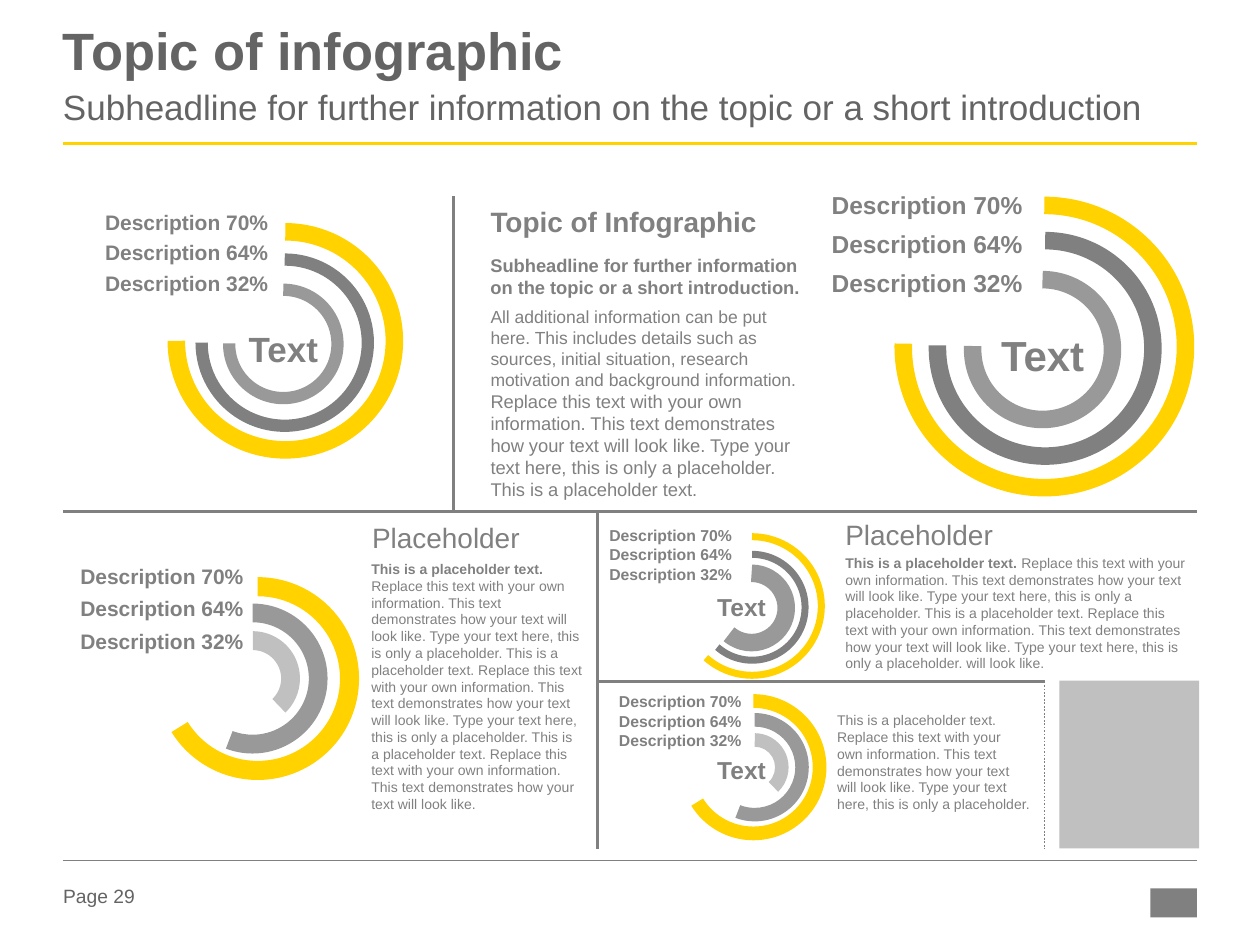
from lxml.etree import SubElement
from pptx import Presentation
from pptx.dml.color import RGBColor
from pptx.enum.dml import MSO_LINE
from pptx.enum.shapes import MSO_CONNECTOR, MSO_SHAPE
from pptx.enum.text import MSO_ANCHOR, MSO_AUTO_SIZE, PP_ALIGN
from pptx.oxml.ns import qn
from pptx.util import Pt

GOLD, DARK, GREY, MID, PALE = "FFD200", "646464", "808080", "999999", "C0C0C0"
LEFT, MIDDLE = PP_ALIGN.LEFT, PP_ALIGN.CENTER
FLUSH, PADDED = (0, 0, 0, 0), (5.6, 5.8, 8.4, 5.8)

LEAD = "This is a placeholder text. "
OWN = "Replace this text with your own information. "
DEMO = "This text demonstrates how your text will look like. "
TYPE = "Type your text here, this is only a placeholder. "
FILL = OWN + DEMO + TYPE
INTRO = ("All additional information can be put here. This includes details such as "
         "sources, initial situation, research motivation and background information. ")

# box, runs of (text, size, bold), colour, align, inset
TEXTS = [
    ((36, 505.4, 56.9, 15.8), [("Page 29", 11, False)], DARK, LEFT, FLUSH),
    ((280.3, 116.9, 176.4, 19.4), [("Topic of Infographic", 16, True)], GREY, LEFT, FLUSH),
    ((280.3, 145.4, 185, 25.2),
     [("Subheadline for further information \von the topic or a short introduction.", 10.5, True)],
     GREY, LEFT, FLUSH),
    ((280.3, 175, 176.4, 112.3),
     [(INTRO, 10, False), (FILL + LEAD.strip(), 10.5, False)], GREY, LEFT, FLUSH),
    ((210.2, 297.4, 89.3, 19.4), [("Placeholder", 16, False)], GREY, MIDDLE, FLUSH),
    ((206.6, 314.6, 135.4, 151.2),
     [(LEAD, 8, True), ((FILL + LEAD) * 2 + OWN + DEMO.strip(), 8, False)], GREY, LEFT, PADDED),
    ((483.1, 295.9, 185, 19.4), [("Placeholder", 16, False)], GREY, LEFT, FLUSH),
    ((483.1, 316.8, 197.3, 67.7),
     [(LEAD, 8, True), (FILL + LEAD + FILL + "will look like.", 8, False)], GREY, LEFT, FLUSH),
    ((478.3, 406.8, 110.4, 67.7), [(LEAD + FILL.strip(), 8, False)], GREY, LEFT, FLUSH),
]
HEADS = [
    ((36, 15.8, 648, 33.1), [("Topic of infographic", 30, True)], {"line_spacing": 0.85}),
    ((36, 49, 648, 34.6),
     [("Subheadline for further information on the topic or a short introduction", 20, False)],
     {"space_before": Pt(2)}),
]
HUBS = [
    ((141.8, 187.2, 40.3, 24.5), 20),
    ((562.3, 188.2, 67, 23), 24),
    ((409.7, 338.4, 28.1, 17.3), 14),
    ((409.7, 431.3, 28.1, 17.3), 14),
]
NOTES = ["Description 70%", "Description 64%", "Description 32%"]
# first box, row step, size, align, inset
STACKS = [
    ((57.8, 119.5, 97.9, 14.4), 17.6, 12, MIDDLE, 0),
    ((475.2, 108.3, 113.8, 17.3), 22.3, 14, LEFT, 0),
    ((45.4, 321.8, 94.3, 14.4), 18.7, 12, MIDDLE, 0),
    ((346.5, 300.2, 73.4, 10.8), 11.2, 9, MIDDLE, 0),
    ((344.8, 391.7, 87.8, 18), 11.2, 9, MIDDLE, 3.6),
]
# left, top, size, end angle, colour, line width
ARCS = [
    (100.8, 132.5, 124.6, 108.02, GOLD, 10),
    (115.2, 148.3, 95, 108.05, GREY, 7),
    (131, 165.6, 61.9, 108.35, MID, 7),
    (516.2, 117.4, 161.3, 108.71, GOLD, 10),
    (535.7, 137.5, 123.1, 108.95, GREY, 10),
    (555.8, 159.8, 79.9, 109.75, MID, 10),
    (390.2, 306.7, 79.2, 79.05, GOLD, 4),
    (399.6, 316.8, 60.5, 78.68, GREY, 4),
    (409.7, 327.6, 39.6, 78.36, MID, 10),
]
BANDS = [
    ((41.5, 162, 0.125), MID),
    ((80.28, 161.78, 0.199), PALE),
    ((19.1, 162, 0.094), GOLD),
]
# left, top, size of each band
DIALS = [
    [(101.5, 344.9, 85.7), (117.4, 360.7, 54), (89.3, 329.8, 115.9)],
    [(400.3, 407.5, 61.9), (411.8, 419, 38.9), (388.8, 396.7, 83.5)],
]
RULES = [
    ((36, 82.1, 684, 82.1), GOLD, 1.5, None),
    ((36, 491.8, 684, 491.8), GREY, 0.25, None),
    ((341.3, 292.3, 341.3, 485.3), GREY, 1.5, None),
    ((684, 292.3, 36, 292.3), GREY, 1.5, None),
    ((259.2, 112.3, 259.2, 292.3), GREY, 1.5, None),
    ((596.9, 389.5, 596.9, 485.3), GREY, 1, MSO_LINE.ROUND_DOT),
    ((596.9, 389.5, 341.3, 389.5), GREY, 1.5, None),
]
BLOCKS = [((605.3, 389, 79.9, 95.8), PALE), ((657.4, 507.6, 26.6, 16.6), GREY)]


def hue(code):
    return RGBColor.from_string(code)


def style(item, values):
    for name, value in values.items():
        setattr(item, name, value)


def points(box):
    return [Pt(part) for part in box]


def write(slide, box, runs, color=GREY, align=LEFT, inset=FLUSH, para=None, **frame):
    text = slide.shapes.add_textbox(*points(box)).text_frame
    sides = ("margin_left", "margin_top", "margin_right", "margin_bottom")
    style(text, dict(zip(sides, points(inset))) | {"word_wrap": True} | frame)
    line = text.paragraphs[0]
    style(line, {"alignment": align} | (para or {}))
    for words, size, bold in runs:
        for count, part in enumerate(words.split("\v")):
            if count:
                line.add_line_break()
            run = line.add_run()
            run.text = part
            style(run.font, {"name": "Arial", "size": Pt(size), "bold": bold})
            run.font.color.rgb = hue(color)


def draw(slide, kind, box, color, turns=(), width=None):
    shape = slide.shapes.add_shape(kind, *points(box))
    shape.shadow.inherit = False
    for index, turn in enumerate(turns):
        shape.adjustments[index] = turn
    if width:
        shape.fill.background()
        shape.line.color.rgb = hue(color)
        shape.line.width = Pt(width)
    else:
        shape.fill.solid()
        shape.fill.fore_color.rgb = hue(color)
        shape.line.fill.background()
    return shape


def rule(slide, ends, color, width, dash):
    line = slide.shapes.add_connector(MSO_CONNECTOR.STRAIGHT, *points(ends))
    line.line.color.rgb = hue(color)
    style(line.line, {"width": Pt(width), "dash_style": dash})
    SubElement(line._element.spPr, qn("a:effectLst"))


def main():
    deck = Presentation()
    style(deck, {"slide_width": Pt(720), "slide_height": Pt(540)})
    slide = deck.slides.add_slide(deck.slide_layouts[6])
    for args in RULES:
        rule(slide, *args)
    for box, color in BLOCKS:
        draw(slide, MSO_SHAPE.RECTANGLE, box, color)
    for left, top, size, end, color, width in ARCS:
        draw(slide, MSO_SHAPE.ARC, (left, top, size, size), color, (162, end), width)
    for dial in DIALS:
        for (left, top, size), (turns, color) in zip(dial, BANDS):
            band = draw(slide, MSO_SHAPE.BLOCK_ARC, (left, top, size, size), color, turns)
            band._element.spPr.find(qn("a:xfrm")).set("flipH", "1")
    for box, runs, para in HEADS:
        write(slide, box, runs, DARK, para=para)
    for args in TEXTS:
        write(slide, *args)
    loose = {"word_wrap": False, "auto_size": MSO_AUTO_SIZE.SHAPE_TO_FIT_TEXT}
    for box, size in HUBS:
        write(slide, box, [("Text", size, True)], align=MIDDLE, **loose)
    for (left, top, width, height), step, size, align, pad in STACKS:
        for row, note in enumerate(NOTES):
            write(slide, (left, top + row * step, width, height), [(note, size, True)],
                  align=align, inset=(pad * 2, pad, pad * 2, pad),
                  vertical_anchor=MSO_ANCHOR.MIDDLE, **loose)
    deck.save("out.pptx")


if __name__ == "__main__":
    main()
